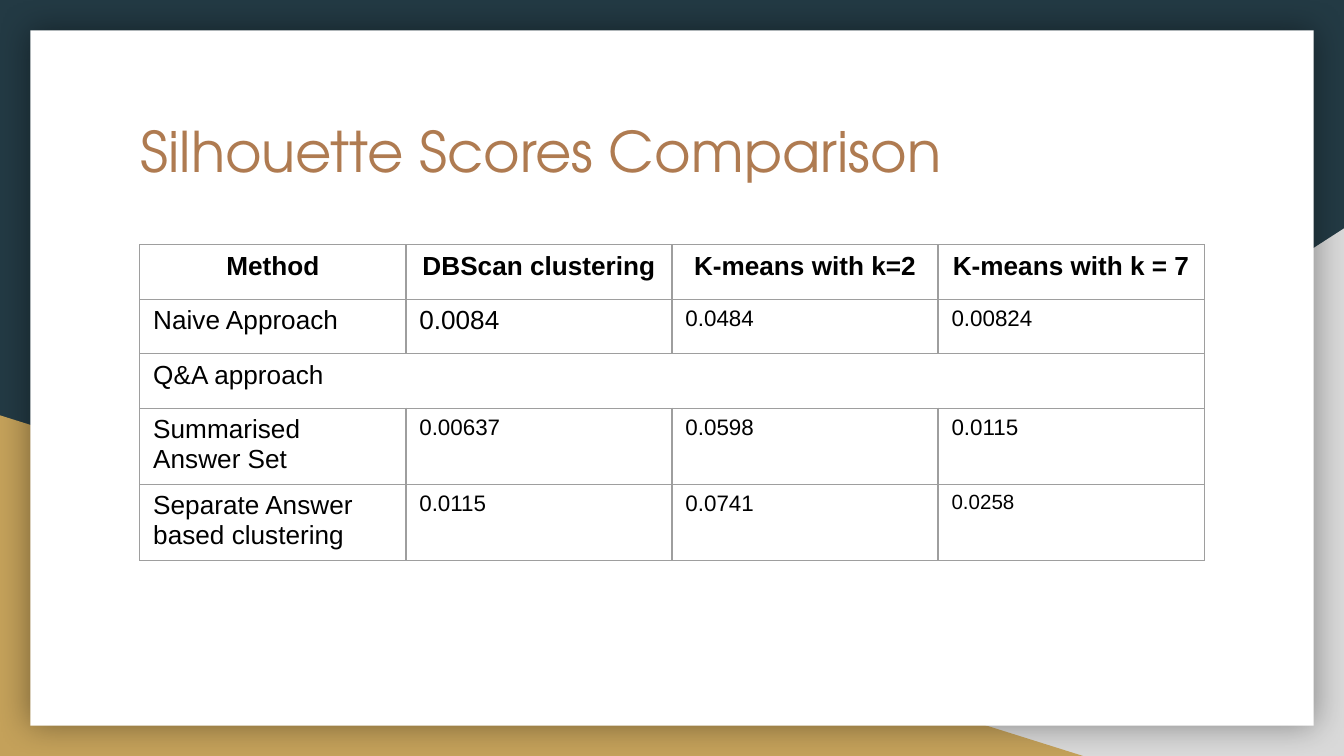
from dataclasses import dataclass
from typing import Any

from lxml import etree
from pptx import Presentation
from pptx.dml.color import RGBColor
from pptx.enum.shapes import MSO_SHAPE
from pptx.enum.text import MSO_ANCHOR, PP_ALIGN
from pptx.oxml.ns import qn
from pptx.util import Inches, Pt

RECTANGLE, TRIANGLE = MSO_SHAPE.RECTANGLE, MSO_SHAPE.RIGHT_TRIANGLE
LEFT, CENTER, TOP = PP_ALIGN.LEFT, PP_ALIGN.CENTER, MSO_ANCHOR.TOP

NAVY = RGBColor(0x23, 0x3A, 0x44)
SILVER = RGBColor(0xD9, 0xD9, 0xD9)
GOLD = RGBColor(0xC4, 0xA1, 0x5A)
WHITE = RGBColor(0xFF, 0xFF, 0xFF)
BRONZE = RGBColor(0xAF, 0x7B, 0x51)
BLACK = RGBColor(0x00, 0x00, 0x00)
GREY = RGBColor(0x9E, 0x9E, 0x9E)

COLUMNS, ROWS = 100, 56.25
HEADERS = ["Method", "DBScan clustering", "K-means with k=2", "K-means with k = 7"]
SCORES = [
    ["Naive Approach", "0.0084", "0.0484", "0.00824"],
    ["Q&A approach"],
    ["Summarised Answer Set", "0.00637", "0.0598", "0.0115"],
    ["Separate Answer based clustering", "0.0115", "0.0741", "0.0258"],
]
SCORE_SIZES = {(1, 1): 14, (4, 3): 11}


def write_text(frame, text, *, font, size, color, bold=False, align=LEFT):
    frame.word_wrap = True
    frame.margin_left = frame.margin_right = Inches(0.1)
    frame.margin_top = frame.margin_bottom = Inches(0.1)
    paragraph = frame.paragraphs[0]
    paragraph.alignment = align
    run = paragraph.add_run()
    run.text = text
    run.font.name, run.font.size, run.font.bold = font, Pt(size), bold
    run.font.color.rgb = color


def add_solid(parent, color, **attributes):
    fill = etree.SubElement(parent, qn("a:solidFill"))
    return etree.SubElement(fill, qn("a:srgbClr"), val=str(color), **attributes)


@dataclass
class SlideBuilder:
    """Draws styled elements on a slide, measured in grid columns and rows."""

    presentation: Any
    slide: Any
    title_font: str = "TeX Gyre Adventor"
    body_font: str = "Arial"

    def across(self, columns):
        return round(self.presentation.slide_width * columns / COLUMNS)

    def down(self, rows):
        return round(self.presentation.slide_height * rows / ROWS)

    def box(self, left, top, width, height):
        return self.across(left), self.down(top), self.across(width), self.down(height)

    def background(self, color):
        fill = self.slide.background.fill
        fill.solid()
        fill.fore_color.rgb = color

    def shape(self, kind, color, *place, flipped=False):
        shape = self.slide.shapes.add_shape(kind, *self.box(*place))
        shape.shadow.inherit = False
        shape.fill.solid()
        shape.fill.fore_color.rgb = color
        shape.line.fill.background()
        if flipped:
            shape._element.spPr.get_or_add_xfrm().set("flipH", "1")
        return shape

    def card(self, *place):
        shape = self.shape(RECTANGLE, WHITE, *place)
        effects = shape._element.spPr.find(qn("a:effectLst"))
        shadow = etree.SubElement(effects, qn("a:outerShdw"), blurRad=str(Pt(18)),
                                  dist="0", dir="0", algn="ctr", rotWithShape="0")
        color = etree.SubElement(shadow, qn("a:srgbClr"), val=str(BLACK))
        etree.SubElement(color, qn("a:alpha"), val="40000")

    def title(self, text, *place):
        frame = self.slide.shapes.add_textbox(*self.box(*place)).text_frame
        frame.vertical_anchor = TOP
        write_text(frame, text, font=self.title_font, size=30, color=BRONZE)

    def border(self, cell):
        properties = cell._tc.get_or_add_tcPr()
        for side in ("a:lnL", "a:lnR", "a:lnT", "a:lnB"):
            line = etree.SubElement(properties, qn(side), w=str(Pt(0.75)))
            add_solid(line, GREY)
        cell.fill.background()

    def table(self, headers, body, *place):
        records = [headers, *body]
        table = self.slide.shapes.add_table(
            len(records), len(headers), *self.box(*place)).table
        table.first_row = table.horz_banding = False
        for cell in table.iter_cells():
            self.border(cell)
        for row, record in enumerate(records):
            if len(record) == 1:
                table.cell(row, 0).merge(table.cell(row, len(headers) - 1))
            for column, text in enumerate(record):
                header = row == 0
                default = 14 if header or column == 0 else 12
                write_text(table.cell(row, column).text_frame, text,
                           font=self.body_font, color=BLACK, bold=header,
                           size=SCORE_SIZES.get((row, column), default),
                           align=CENTER if header else LEFT)


def main():
    presentation = Presentation()
    presentation.slide_width, presentation.slide_height = Inches(10), Inches(5.625)
    slide = presentation.slides.add_slide(presentation.slide_layouts[6])
    builder = SlideBuilder(presentation, slide)
    builder.background(NAVY)
    builder.shape(TRIANGLE, SILVER, 39.2, 17, 60.8, 39.25, flipped=True)
    builder.shape(TRIANGLE, GOLD, 0, 30.9, 80.6, 25.35)
    builder.card(2.25, 2.25, 95.5, 51.75)
    builder.title("Silhouette Scores Comparison", 9.5, 7.7, 82.1, 10.4)
    builder.table(HEADERS, SCORES, 10.4, 18.2, 79.2, 20.3)
    presentation.save("out.pptx")


if __name__ == "__main__":
    main()
